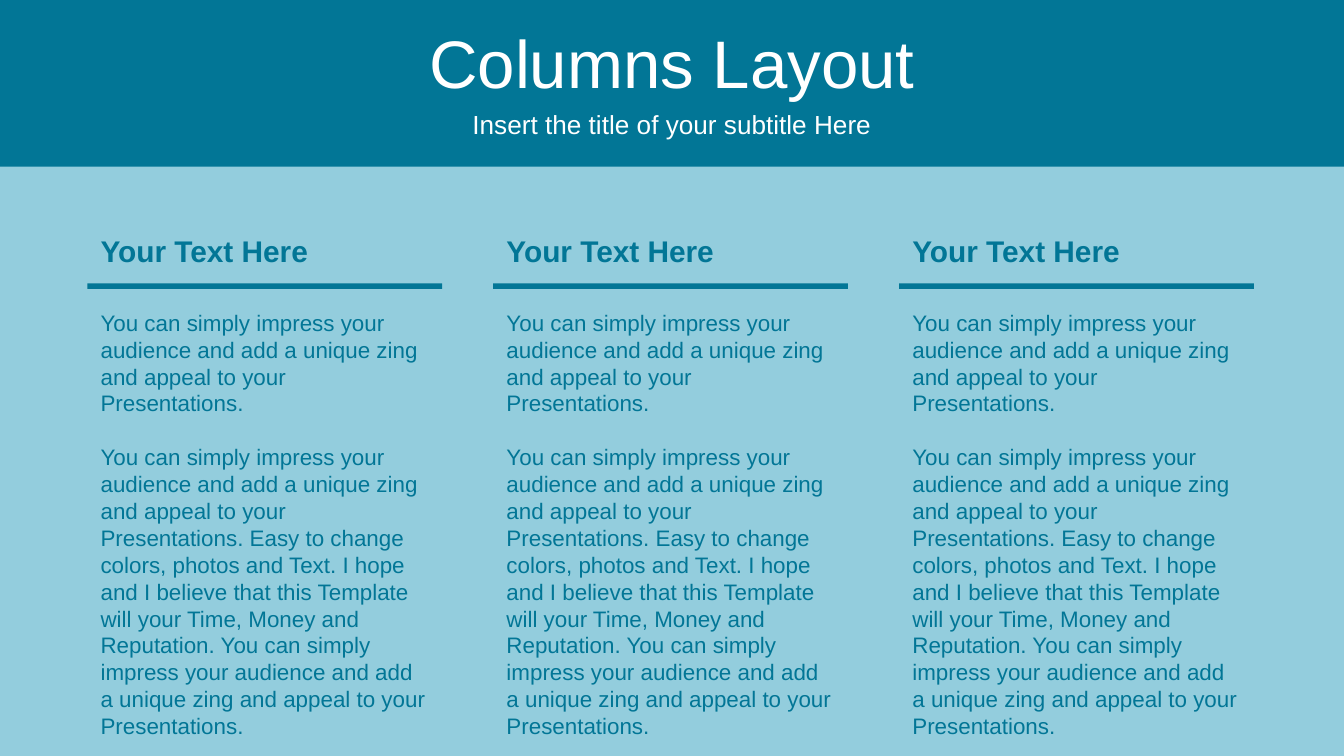
from dataclasses import dataclass

from pptx import Presentation
from pptx.dml.color import RGBColor
from pptx.enum.shapes import MSO_SHAPE
from pptx.enum.text import MSO_ANCHOR, MSO_AUTO_SIZE, PP_ALIGN
from pptx.util import Inches, Pt


@dataclass(frozen=True)
class Theme:
    font: str = "Arial"
    dark: RGBColor = RGBColor(0x02, 0x76, 0x96)
    light: RGBColor = RGBColor(0x93, 0xCD, 0xDD)
    white: RGBColor = RGBColor(0xFF, 0xFF, 0xFF)
    title_size: int = 36
    subtitle_size: int = 14
    heading_size: int = 16
    body_size: int = 12


THEME = Theme()
PAGE_WIDTH = 10
PAGE_HEIGHT = PAGE_WIDTH * 9 / 16
COLUMN_LEFT, COLUMN_STEP, COLUMN_WIDTH = 0.65, 3.02, 2.65

INTRO = ("You can simply impress your audience and add a unique zing "
         "and appeal to your Presentations.")
DETAIL = (f"{INTRO} Easy to change colors, photos and Text. I hope and I believe "
          f"that this Template will your Time, Money and Reputation. {INTRO}")
COLUMNS = [("Your Text Here", [INTRO, DETAIL])] * 3


def style_paragraph(paragraph, size, color, bold=False):
    font = paragraph.font
    font.name = THEME.font
    font.size = Pt(size)
    font.bold = bold
    font.color.rgb = color


def add_bar(page, left, top, width, height):
    bar = page.shapes.add_shape(MSO_SHAPE.RECTANGLE, Inches(left), Inches(top),
                                Inches(width), Inches(height))
    bar.shadow.inherit = False
    bar.fill.solid()
    bar.fill.fore_color.rgb = THEME.dark
    bar.line.fill.background()
    return bar


def fill_placeholder(placeholder, text, top, height, size):
    """Set a full-width, centred line of white text in a placeholder."""
    placeholder.left, placeholder.top = Inches(0), Inches(top)
    placeholder.width, placeholder.height = Inches(PAGE_WIDTH), Inches(height)
    frame = placeholder.text_frame
    frame.text = text
    frame.auto_size = MSO_AUTO_SIZE.NONE
    frame.vertical_anchor = MSO_ANCHOR.MIDDLE
    paragraph = frame.paragraphs[0]
    paragraph.alignment = PP_ALIGN.CENTER
    paragraph.space_before = Pt(0)
    style_paragraph(paragraph, size, THEME.white)


def add_text(page, left, top, height, texts, size, bold=False, gap=0):
    box = page.shapes.add_textbox(Inches(left), Inches(top),
                                  Inches(COLUMN_WIDTH), Inches(height))
    frame = box.text_frame
    frame.word_wrap = True
    for index, text in enumerate(texts):
        paragraph = frame.add_paragraph() if index else frame.paragraphs[0]
        paragraph.text = text
        if index:
            paragraph.space_before = Pt(gap)
        style_paragraph(paragraph, size, THEME.dark, bold)


def add_column(page, left, heading, texts):
    add_text(page, left, 1.68, 0.37, [heading], THEME.heading_size, bold=True)
    add_bar(page, left, 2.11, 2.64, 0.04)
    add_text(page, left, 2.25, 2.93, texts, THEME.body_size, gap=14.4)


def add_header(page):
    band = add_bar(page, 0, 0, PAGE_WIDTH, 1.24)
    page.shapes.title.element.addprevious(band.element)
    fill_placeholder(page.shapes.title, "Columns Layout", 0.14, 0.63, THEME.title_size)
    fill_placeholder(page.placeholders[1], "Insert the title of your subtitle Here",
                     0.77, 0.31, THEME.subtitle_size)


def main():
    deck = Presentation()
    deck.slide_width, deck.slide_height = Inches(PAGE_WIDTH), Inches(PAGE_HEIGHT)
    page = deck.slides.add_slide(deck.slide_layouts[0])
    page.background.fill.solid()
    page.background.fill.fore_color.rgb = THEME.light
    add_header(page)
    for index, (heading, texts) in enumerate(COLUMNS):
        add_column(page, COLUMN_LEFT + index * COLUMN_STEP, heading, texts)
    deck.save("out.pptx")


if __name__ == "__main__":
    main()
